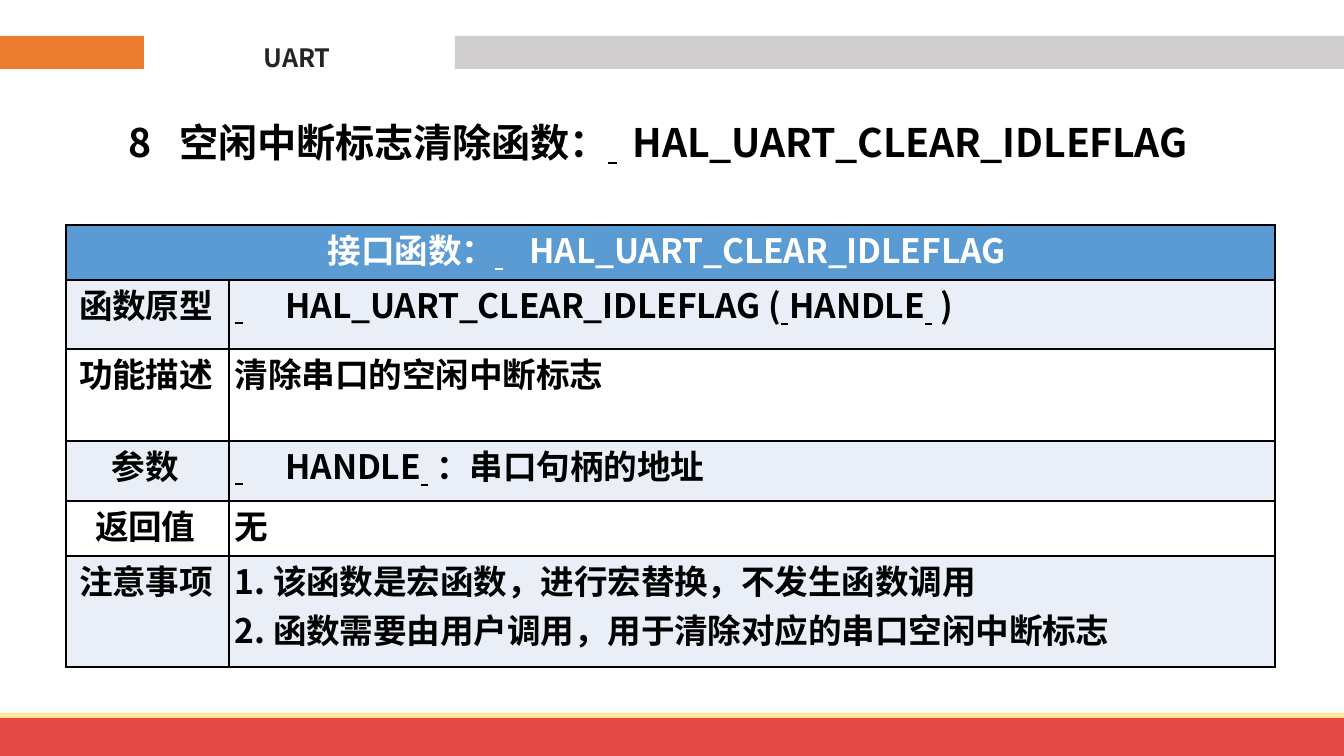
from lxml import etree
from pptx import Presentation
from pptx import util as u
from pptx.dml.color import RGBColor
from pptx.enum import shapes, text
from pptx.oxml.ns import qn

PX = 914400 / 100.8
FONT = "Noto Sans CJK SC"
COLORS = {
    "orange": "EC7C30", "gray": "D0CECE", "yellow": "FFE699", "red": "E34A46",
    "title": "252525", "black": "000000", "white": "FFFFFF",
    "header": "5B9BD4", "band": "EAEEF7",
}
BARS = [
    (0, 36, 144, 33, "orange"),
    (455, 36, 889, 33, "gray"),
    (0, 713, 1344, 5, "yellow"),
    (0, 718, 1344, 38, "red"),
]
MACRO = "HAL_UART_CLEAR_IDLEFLAG"
# A gap is an underlined space and tab; a thin gap is set in a regular serif.
GAP = (" \t", {"underline": True})
THIN_GAP = (" \t", {"underline": True, "bold": False, "name": "Times New Roman"})

HEADING = ["8\t空闲中断标志清除函数：", GAP, MACRO]
HEADER = ["接口函数：", THIN_GAP, MACRO]
# Row label, its indent, paragraphs of the description, tab stops
ROWS = [
    ("函数原型", 13, [[THIN_GAP, MACRO + " (", GAP, "HANDLE", GAP, ")"]], (36, 574, 749)),
    ("功能描述", 13, [["清除串口的空闲中断标志"]], ()),
    ("参数", 46, [[THIN_GAP, "HANDLE", GAP, "：串口句柄的地址"]], (36, 212)),
    ("返回值", 29, [["无"]], ()),
    ("注意事项", 13, [["1. 该函数是宏函数，进行宏替换，不发生函数调用"],
                  ["2. 函数需要由用户调用，用于清除对应的串口空闲中断标志"]], ()),
]
COLUMN_WIDTHS = (163, 1046)
ROW_HEIGHTS = (55, 69, 92, 60, 55, 111)


def px(length):
    return u.Emu(round(length * PX))


def rgb(name):
    return RGBColor.from_string(COLORS[name])


def set_values(target, values):
    for name, value in values.items():
        setattr(target, name, value)


def set_layout(para, indent, tabs=()):
    """Set the left margin and the left-aligned tab stops."""
    props = para._p.get_or_add_pPr()
    props.set("marL", str(px(indent)))
    props.set("indent", "0")
    if tabs:
        stops = etree.SubElement(props, qn("a:tabLst"))
        for stop in tabs:
            etree.SubElement(stops, qn("a:tab"), pos=str(px(stop)), algn="l")


def write_para(para, parts, size, color, indent=1, tabs=()):
    """Fill a paragraph from plain strings and (text, font values) pairs."""
    set_layout(para, indent, tabs)
    para.alignment = text.PP_ALIGN.LEFT
    for part in parts:
        words, extra = (part, {}) if isinstance(part, str) else part
        span = para.add_run()
        span.text = words
        span.font.color.rgb = rgb(color)
        set_values(span.font, {"size": u.Pt(size), "bold": True, "name": FONT, **extra})
        props = span._r.get_or_add_rPr()
        props.set("spc", "-10")
        etree.SubElement(props, qn("a:ea"), typeface=FONT)


def prepare_frame(frame, anchor):
    set_values(frame, {
        "margin_left": 0, "margin_top": 0, "margin_right": 0, "margin_bottom": 0,
        "word_wrap": True, "vertical_anchor": anchor,
        "auto_size": text.MSO_AUTO_SIZE.SHAPE_TO_FIT_TEXT,
    })


def add_bar(page, left, top, width, height, color):
    bar = page.shapes.add_shape(
        shapes.MSO_SHAPE.RECTANGLE, px(left), px(top), px(width), px(height))
    bar.shadow.inherit = False
    bar.fill.solid()
    bar.fill.fore_color.rgb = rgb(color)
    bar.line.fill.background()


def set_title(page, words):
    title = page.shapes.title
    set_values(title, {"left": px(263), "top": px(43), "width": px(74), "height": px(28)})
    prepare_frame(title.text_frame, text.MSO_ANCHOR.MIDDLE)
    write_para(title.text_frame.paragraphs[0], [words], 18, "title")


def add_heading(page):
    box = page.shapes.add_textbox(px(128), px(126), px(1081), px(42))
    prepare_frame(box.text_frame, text.MSO_ANCHOR.TOP)
    para = box.text_frame.paragraphs[0]
    write_para(para, HEADING, 28, "black", tabs=(49, 514))
    para.line_spacing = 0.83


def add_borders(cell):
    props = cell._tc.get_or_add_tcPr()
    for index, side in enumerate(("lnL", "lnR", "lnT", "lnB")):
        line = etree.Element(qn(f"a:{side}"), w=str(u.Pt(2.25)))
        fill = etree.SubElement(line, qn("a:solidFill"))
        etree.SubElement(fill, qn("a:srgbClr"), val=COLORS["black"])
        props.insert(index, line)


def fill_cell(cell, paragraphs, indent, tabs=(), fill=None, color="black"):
    set_values(cell, {"margin_left": 0, "margin_top": 0,
                      "margin_right": 0, "margin_bottom": 0})
    if fill:
        cell.fill.solid()
        cell.fill.fore_color.rgb = rgb(fill)
    else:
        cell.fill.background()
    frame = cell.text_frame
    for index, parts in enumerate(paragraphs):
        para = frame.add_paragraph() if index else frame.paragraphs[0]
        write_para(para, parts, 24, color, indent, tabs)


def add_function_table(page):
    table = page.shapes.add_table(
        len(ROW_HEIGHTS), len(COLUMN_WIDTHS), px(66), px(225),
        px(sum(COLUMN_WIDTHS)), px(sum(ROW_HEIGHTS))).table
    for column, width in zip(table.columns, COLUMN_WIDTHS):
        column.width = px(width)
    for row, height in zip(table.rows, ROW_HEIGHTS):
        row.height = px(height)
    table.cell(0, 0).merge(table.cell(0, 1))
    fill_cell(table.cell(0, 0), [HEADER], 262, (461,), "header", "white")
    for index, (label, indent, paragraphs, tabs) in enumerate(ROWS, 1):
        fill = "band" if index % 2 else None
        fill_cell(table.cell(index, 0), [[label]], indent, fill=fill)
        fill_cell(table.cell(index, 1), paragraphs, 6, tabs, fill)
    for cell in table.iter_cells():
        add_borders(cell)


def main():
    deck = Presentation()
    set_values(deck, {"slide_width": px(1344), "slide_height": px(756)})
    page = deck.slides.add_slide(deck.slide_layouts[5])
    for bar in BARS:
        add_bar(page, *bar)
    set_title(page, "UART")
    add_heading(page)
    add_function_table(page)
    deck.save("out.pptx")


if __name__ == "__main__":
    main()
